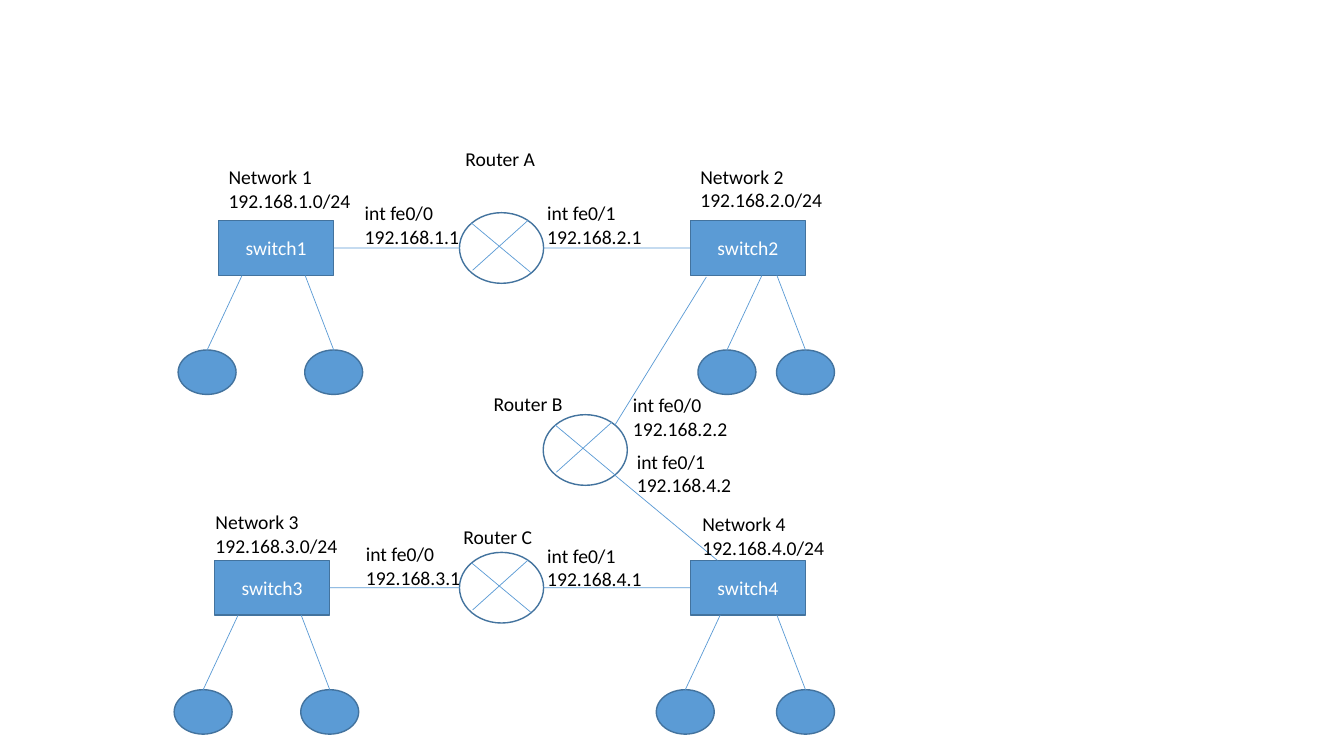
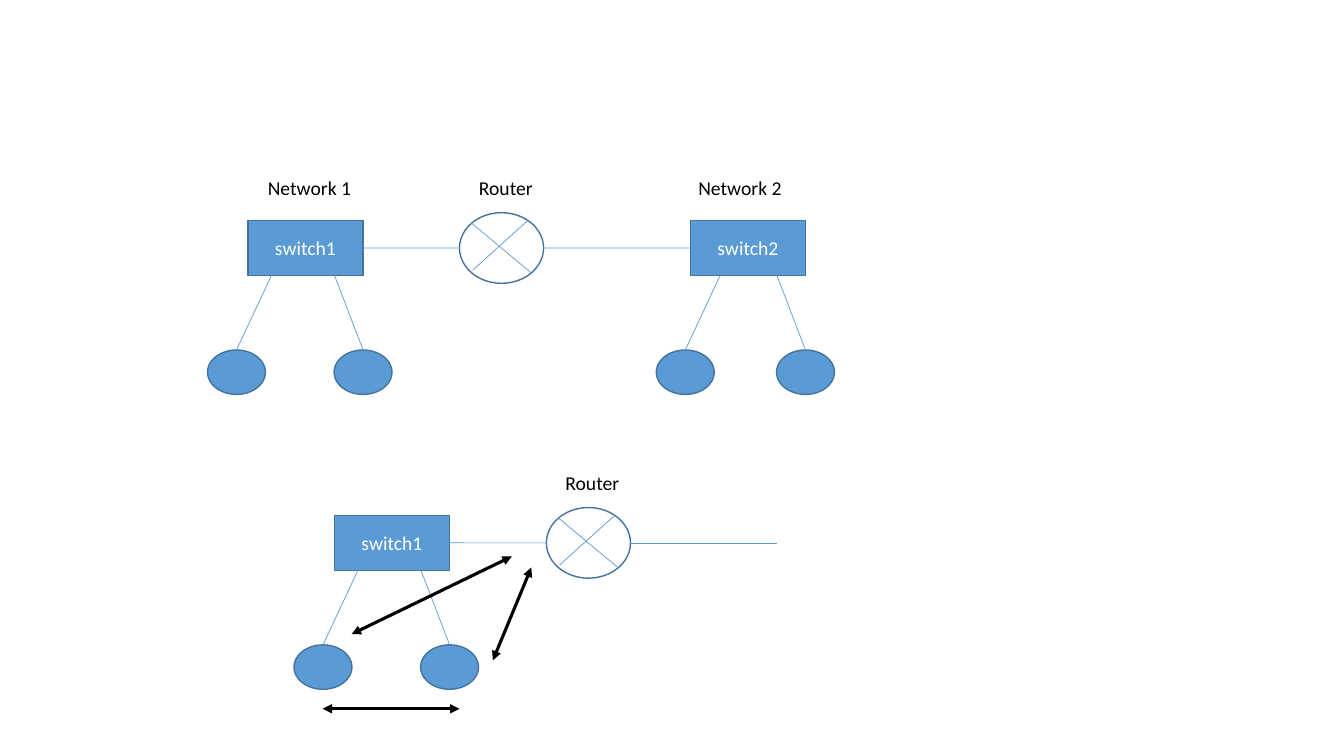
from lxml.etree import SubElement
from pptx import Presentation
from pptx.dml.color import RGBColor
from pptx.enum.shapes import MSO_CONNECTOR as Connector, MSO_SHAPE as Shape
from pptx.enum.text import MSO_ANCHOR as Anchor, MSO_AUTO_SIZE as AutoSize, PP_ALIGN as Align
from pptx.oxml.ns import qn
from pptx.util import Cm, Pt

COLORS = {"blue": "5B9BD5", "edge": "43739E", "white": "FFFFFF", "black": "000000"}
TOP, LEFT, RIGHT = 0, 1, 3
SWITCH_WIDTH, SWITCH_HEIGHT = 2.9, 1.38
HOST_WIDTH, HOST_HEIGHT, HOST_DROP = 1.46, 1.12, 3.26
ROUTER_WIDTH, ROUTER_HEIGHT = 2.12, 1.78


def rgb(name):
    return RGBColor.from_string(COLORS[name])


class Diagram:
    font_name = "Calibri"
    font_size = 14

    def __init__(self, presentation):
        self.presentation = presentation
        self.slide = None

    def new_slide(self):
        self.slide = self.presentation.slides.add_slide(self.presentation.slide_layouts[6])

    def add_text(self, paragraph, text, color, align):
        paragraph.alignment = align
        run = paragraph.add_run()
        run.text = text
        run.font.name = self.font_name
        run.font.size = Pt(self.font_size)
        run.font.color.rgb = rgb(color)

    def shape(self, kind, left, top, width, height, fill="blue"):
        shape = self.slide.shapes.add_shape(kind, Cm(left), Cm(top), Cm(width), Cm(height))
        shape.shadow.inherit = False
        shape.fill.solid()
        shape.fill.fore_color.rgb = rgb(fill)
        shape.line.color.rgb = rgb("edge")
        shape.line.width = Pt(1)
        return shape

    def line(self, start, end, color="blue", width=0.5, arrows=False):
        connector = self.slide.shapes.add_connector(
            Connector.STRAIGHT, Cm(start[0]), Cm(start[1]), Cm(end[0]), Cm(end[1]))
        connector.line.color.rgb = rgb(color)
        connector.line.width = Pt(width)
        properties = connector._element.spPr
        if arrows:
            for tag in ("a:headEnd", "a:tailEnd"):
                SubElement(properties.find(qn("a:ln")), qn(tag), type="triangle")
        SubElement(properties, qn("a:effectLst"))
        return connector

    def arrow(self, start, end):
        self.line(start, end, "black", 2.25, arrows=True)

    def label(self, left, top, *lines, align=Align.LEFT, height=None):
        height = height or 0.27 + 0.59 * len(lines)
        box = self.slide.shapes.add_textbox(Cm(left), Cm(top), Cm(4.06), Cm(height))
        frame = box.text_frame
        frame.word_wrap = True
        frame.auto_size = AutoSize.SHAPE_TO_FIT_TEXT
        for index, text in enumerate(lines):
            paragraph = frame.add_paragraph() if index else frame.paragraphs[0]
            self.add_text(paragraph, text, "black", align)

    def switch(self, name, left, middle, left_host=-0.29):
        top = middle - SWITCH_HEIGHT / 2
        switch = self.shape(Shape.RECTANGLE, left, top, SWITCH_WIDTH, SWITCH_HEIGHT)
        switch.text_frame.vertical_anchor = Anchor.MIDDLE
        self.add_text(switch.text_frame.paragraphs[0], name, "white", Align.CENTER)
        for offset, lean in ((left_host, 0.88), (SWITCH_WIDTH, -0.72)):
            center = left + offset
            host_top = top + HOST_DROP
            host = self.shape(Shape.OVAL, center - HOST_WIDTH / 2, host_top, HOST_WIDTH, HOST_HEIGHT)
            cable = self.line((center, host_top), (center + lean, top + SWITCH_HEIGHT))
            cable.begin_connect(host, TOP)
        return switch

    def router(self, left, middle):
        top = middle - ROUTER_HEIGHT / 2
        self.shape(Shape.OVAL, left, top, ROUTER_WIDTH, ROUTER_HEIGHT, "white")
        for x1, y1, x2, y2 in ((0.3, 0.26, 1.8, 1.51), (1.73, 0.19, 0.33, 1.45)):
            self.line((left + x1, top + y1), (left + x2, top + y2))

    def row(self, middle, left_switch, router_left, right_switch=None, stub_end=None):
        name, left, *host = left_switch
        switch = self.switch(name, left, middle, *host)
        self.router(router_left, middle)
        link = self.line((left + SWITCH_WIDTH, middle), (router_left, middle))
        link.begin_connect(switch, RIGHT)
        end = right_switch[1] if right_switch else stub_end
        link = self.line((router_left + ROUTER_WIDTH, middle), (end, middle))
        if right_switch:
            name, left, *host = right_switch
            link.end_connect(self.switch(name, left, middle, *host), LEFT)


def three_routers(diagram):
    diagram.new_slide()
    diagram.row(6.25, ("switch1", 5.51), 11.58, ("switch2", 17.4, 0.92))
    diagram.row(14.81, ("switch3", 5.41), 11.58, ("switch4", 17.4, -0.13))
    diagram.router(13.69, 11.34)
    diagram.line((15.49, 10.72), (17.8, 6.98))
    diagram.line((15.49, 11.97), (18.08, 14.12))
    for name, left, top in (("A", 11.48, 3.58), ("B", 12.19, 9.75), ("C", 11.43, 13.11)):
        diagram.label(left, top, f"Router {name}")
    networks = ((5.51, 4.04), (17.4, 4.03), (5.18, 12.73), (17.45, 12.78))
    for number, (left, top) in enumerate(networks, 1):
        diagram.label(left, top, f"Network {number}", f"192.168.{number}.0/24")
    for left, top, port, address in (
        (15.7, 9.78, 0, "2.2"),
        (8.94, 4.95, 0, "1.1"),
        (8.97, 13.54, 0, "3.1"),
        (13.54, 13.57, 1, "4.1"),
        (13.54, 4.95, 1, "2.1"),
    ):
        diagram.label(left, top, f"int fe0/{port}", f"192.168.{address}")
    diagram.label(15.8, 11.21, "int fe0/1 192.168.4.2", height=1.45)


def one_router(diagram):
    diagram.new_slide()
    diagram.row(6.25, ("switch1", 6.25), 11.58, ("switch2", 17.4, -0.13))
    diagram.row(13.68, ("switch1", 8.43), 13.77, stub_end=19.58)
    for left, top in ((10.72, 4.3), (12.9, 11.73)):
        diagram.label(left, top, "Router", align=Align.CENTER)
    diagram.label(6.5, 4.31, "Network 1")
    diagram.label(17.35, 4.3, "Network 2")
    diagram.arrow((8.13, 17.86), (11.58, 17.86))
    diagram.arrow((12.42, 16.64), (13.39, 14.3))
    diagram.arrow((8.86, 15.98), (12.9, 14.02))


def main():
    presentation = Presentation()
    presentation.slide_width = Cm(33.87)
    presentation.slide_height = Cm(19.05)
    diagram = Diagram(presentation)
    three_routers(diagram)
    one_router(diagram)
    presentation.save("out.pptx")


if __name__ == "__main__":
    main()
